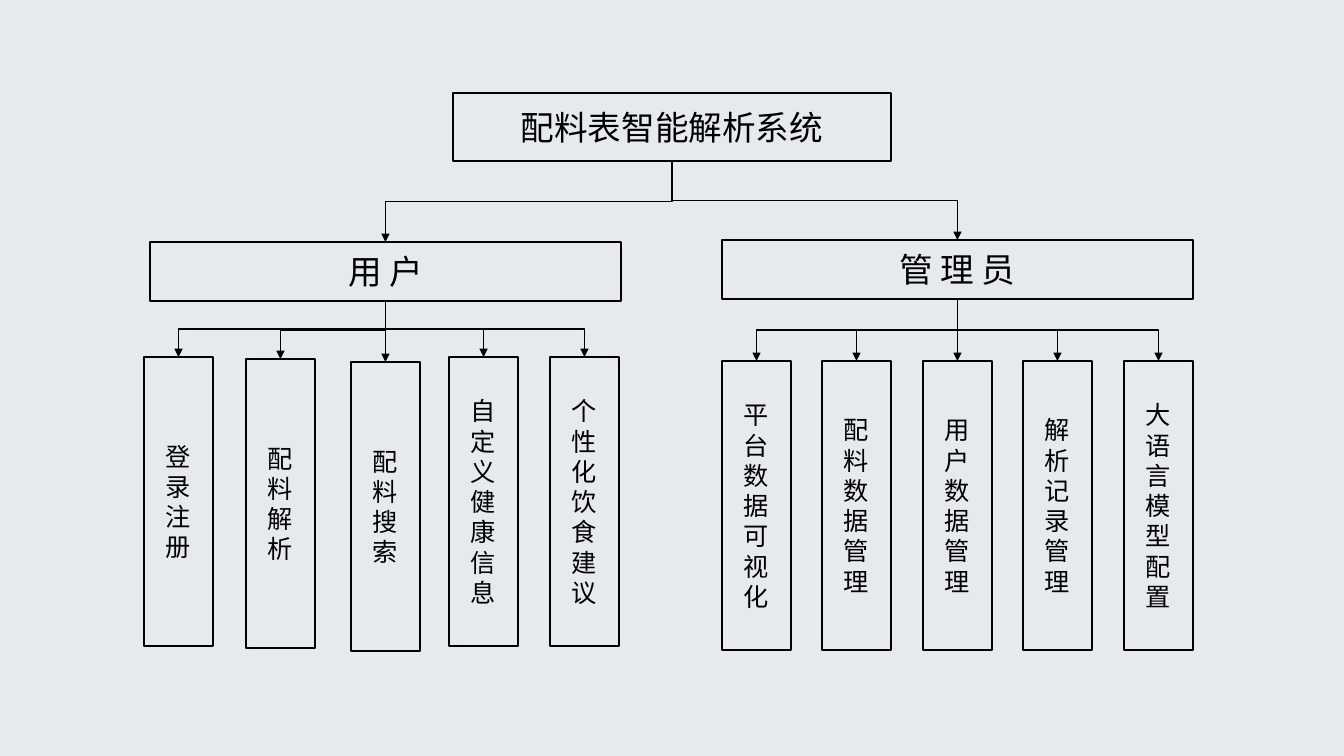
import pptx
import pptx.util
import pptx.dml.color
import pptx.enum.shapes
import pptx.enum.text
import pptx.oxml
import pptx.oxml.ns

PX = 914400 / 100.8
FONT = "Noto Sans CJK SC"
COLOURS = {"page": "E6EAEE", "ink": "000000"}
RGB = {name: pptx.dml.color.RGBColor.from_string(code) for name, code in COLOURS.items()}
qn = pptx.oxml.ns.qn


def format_box(box, place, lines, size, filled=True, spacing=None):
    """Place a box given in px, outline it and write one paragraph per line."""
    for side, length in zip(("left", "top", "width", "height"), place):
        setattr(box, side, round(length * PX))
    if filled:
        box.fill.solid()
        box.fill.fore_color.rgb = RGB["page"]
    else:
        box.fill.background()
    box.line.color.rgb = RGB["ink"]
    box.line.width = pptx.util.Pt(1)
    frame = box.text_frame
    frame_format = {
        "word_wrap": True,
        "auto_size": pptx.enum.text.MSO_AUTO_SIZE.NONE,
        "vertical_anchor": pptx.enum.text.MSO_ANCHOR.MIDDLE,
    }
    for name, value in frame_format.items():
        setattr(frame, name, value)
    frame.text = "\n".join(lines)
    for para in frame.paragraphs:
        para.alignment = pptx.enum.text.PP_ALIGN.CENTER
        if spacing:
            para.line_spacing = pptx.util.Pt(spacing)
        span = para.runs[0]
        span.font.size = pptx.util.Pt(size)
        span.font.name = FONT
        span.font.color.rgb = RGB["ink"]
        east_asian = span.font._element.makeelement(qn("a:ea"), {"typeface": FONT})
        span.font._element.append(east_asian)


def add_arrow(page, parent, child):
    """Join a parent's bottom to a child's top, bending halfway down."""
    start_x, start_y = parent.left + parent.width // 2, parent.top + parent.height
    end_x, end_y = child.left + child.width // 2, child.top
    across, down = end_x - start_x, end_y - start_y
    straight = abs(across) < 2 * PX
    kinds = pptx.enum.shapes.MSO_CONNECTOR
    arrow = page.shapes.add_connector(
        kinds.STRAIGHT if straight else kinds.ELBOW, start_x, start_y, end_x, end_y)
    arrow.begin_connect(parent, 2)
    arrow.end_connect(child, 0)
    properties = arrow._element.spPr
    if not straight:
        # A quarter turn makes the elbow leave and arrive vertically
        turned = {
            "left": (start_x + end_x - down) // 2,
            "top": (start_y + end_y - abs(across)) // 2,
            "width": down,
            "height": abs(across),
        }
        for name, value in turned.items():
            setattr(arrow, name, value)
        transform = properties.find(qn("a:xfrm"))
        transform.attrib.pop("flipH", None)
        transform.set("rot", "5400000" if across < 0 else "16200000")
        if across > 0:
            transform.set("flipH", "1")
    arrow.line.color.rgb = RGB["ink"]
    arrow.line.width = pptx.util.Pt(1)
    outline = properties.find(qn("a:ln"))
    outline.append(outline.makeelement(qn("a:tailEnd"), {"type": "triangle"}))
    properties.append(properties.makeelement(qn("a:effectLst"), {}))


deck = pptx.Presentation()
deck.slide_width = round(1344 * PX)
deck.slide_height = round(756 * PX)
page = deck.slides.add_slide(deck.slide_layouts[5])
page.background.fill.solid()
page.background.fill.fore_color.rgb = RGB["page"]

system = page.shapes.title
format_box(system, (453, 93, 438, 68), ["配料表智能解析系统"], 24, filled=False)

user_modules = [
    (144, 357, ["登录注册"]),
    (246, 359, ["配料解析"]),
    (351, 362, ["配料搜索"]),
    (449, 357, ["自定义健康信息"]),
    (550, 357, ["个性化饮食建议"]),
]
admin_labels = [["平台数据可视化"], ["配料数据", "管理"], ["用户数据", "管理"],
                ["解析记录管理"], ["大语言模型配置"]]
admin_modules = [(722 + index * 201 // 2, 361, lines)
                 for index, lines in enumerate(admin_labels)]
roles = [
    ("用 户", 150, 242, True, user_modules),
    ("管 理 员", 722, 240, False, admin_modules),
]

rectangle = pptx.enum.shapes.MSO_SHAPE.RECTANGLE
for label, left, top, filled, modules in roles:
    role = page.shapes.add_shape(rectangle, 0, 0, 0, 0)
    role.shadow.inherit = False
    format_box(role, (left, top, 471, 59), [label], 24, filled)
    add_arrow(page, system, role)
    for module_left, module_top, lines in modules:
        module = page.shapes.add_shape(rectangle, 0, 0, 0, 0)
        module.shadow.inherit = False
        format_box(module, (module_left, module_top, 69, 289), lines, 18, spacing=21.6)
        add_arrow(page, role, module)

deck.save("out.pptx")
